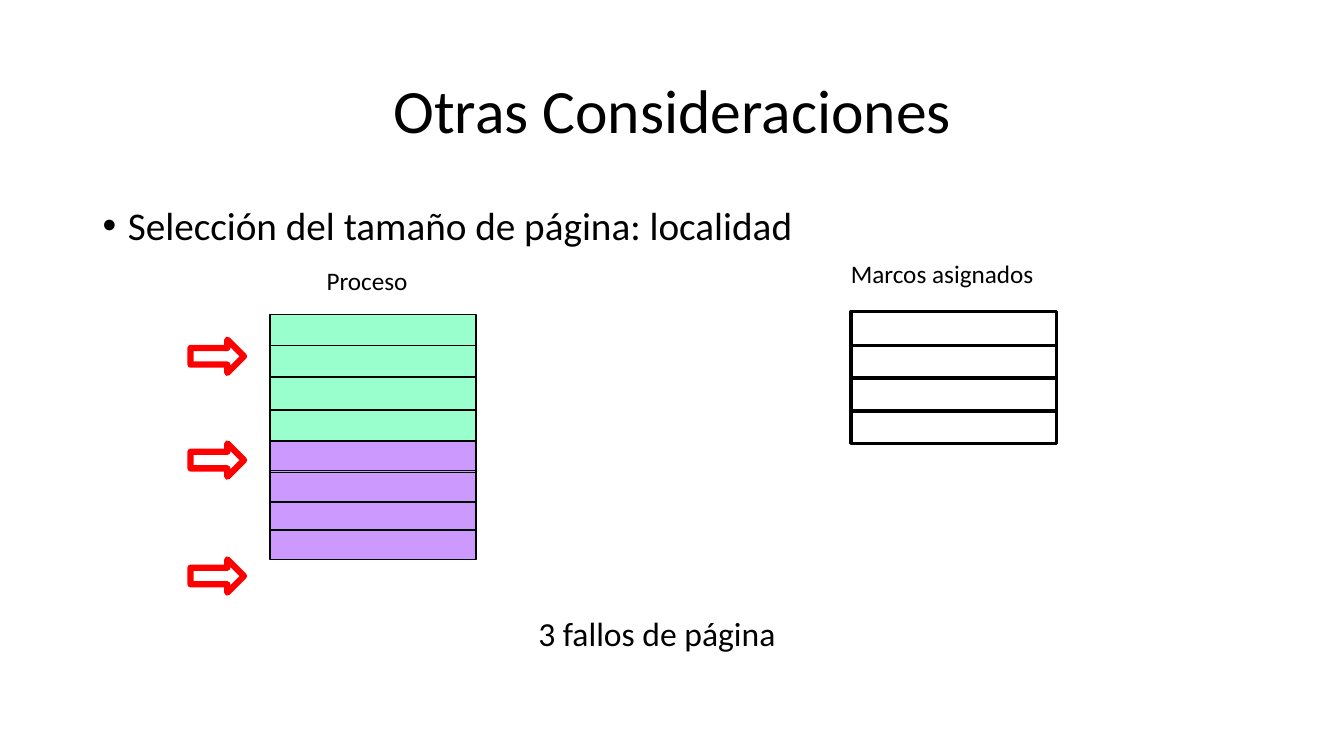
from lxml.etree import SubElement
from pptx import Presentation
from pptx.dml.color import RGBColor
from pptx.enum.shapes import MSO_SHAPE
from pptx.enum.text import MSO_ANCHOR, MSO_AUTO_SIZE, PP_ALIGN
from pptx.oxml.ns import qn
from pptx.util import Inches, Pt

BLACK = RGBColor(0x00, 0x00, 0x00)
WHITE = RGBColor(0xFF, 0xFF, 0xFF)
RED = RGBColor(0xFF, 0x00, 0x00)
GREEN = RGBColor(0x99, 0xFF, 0xCC)
PURPLE = RGBColor(0xCC, 0x99, 0xFF)

TITLE = "Otras Consideraciones"
TOPIC = "Selección del tamaño de página: localidad"
# text, (left, top, width, height), size
LABELS = [
    ("Proceso", (3.14, 2.58, 1.01, 0.4), 18),
    ("Marcos asignados", (8.34, 2.51, 2.03, 0.4), 18),
    ("3 fallos de página", (5.24, 6.03, 2.58, 0.5), 24),
]
PROCESS_LEFT, FRAMES_LEFT, COLUMN_WIDTH = 2.68, 8.44, 2.04
# left, fill, line width, [(top, height), ...]
STACKS = [
    (PROCESS_LEFT, GREEN, 1, [(3.14, 1.23)]),
    (PROCESS_LEFT, PURPLE, 1, [(4.37, 1.17)]),
    (PROCESS_LEFT, GREEN, 1, [(3.12 + 0.31 * row, 0.33) for row in range(3)]),
    (PROCESS_LEFT, PURPLE, 1, [(top, 0.29) for top in (4.38, 4.69, 4.98, 5.26)]),
    (FRAMES_LEFT, None, 2.25,
     [(3.09, 0.34)] + [(3.43 + 0.32 * row, 0.33) for row in range(3)]),
]
ARROW_LEFT, ARROW_WIDTH, ARROW_HEIGHT = 1.89, 0.53, 0.33
ARROW_TOPS = [3.37, 4.4, 5.55]


def add_outlined(slide, kind, box, fill, line_color, line_width):
    shape = slide.shapes.add_shape(kind, *map(Inches, box))
    shape.shadow.inherit = False
    if fill is None:
        shape.fill.background()
    else:
        shape.fill.solid()
        shape.fill.fore_color.rgb = fill
    shape.line.color.rgb = line_color
    shape.line.width = Pt(line_width)


def add_text(slide, text, box, size, frame_format, paragraph_format, bullet=False):
    frame = slide.shapes.add_textbox(*map(Inches, box)).text_frame
    for name, value in frame_format.items():
        setattr(frame, name, value)
    paragraph = frame.paragraphs[0]
    paragraph.text = text
    for name, value in paragraph_format.items():
        setattr(paragraph, name, value)
    if bullet:
        properties = paragraph._p.get_or_add_pPr()
        properties.set("marL", str(Inches(0.25)))
        properties.set("indent", str(Inches(-0.25)))
        SubElement(properties, qn("a:buFont"), typeface="Arial")
        SubElement(properties, qn("a:buChar"), char="•")
    font_format = {"name": "Calibri", "size": Pt(size)}
    for name, value in font_format.items():
        setattr(paragraph.font, name, value)
    paragraph.font.color.rgb = BLACK


def main():
    presentation = Presentation()
    presentation.slide_width = Inches(13.33)
    presentation.slide_height = Inches(7.5)
    slide = presentation.slides.add_slide(presentation.slide_layouts[6])

    add_text(slide, TITLE, (0.92, 0.4, 11.5, 1.45), 44,
             {"word_wrap": True, "vertical_anchor": MSO_ANCHOR.MIDDLE},
             {"alignment": PP_ALIGN.CENTER, "line_spacing": 0.9})
    add_text(slide, TOPIC, (0.92, 2, 11.5, 4.76), 28,
             {"word_wrap": True}, {"line_spacing": 0.9}, bullet=True)
    for text, box, size in LABELS:
        add_text(slide, text, box, size,
                 {"word_wrap": False, "auto_size": MSO_AUTO_SIZE.SHAPE_TO_FIT_TEXT}, {})

    for left, fill, line_width, rows in STACKS:
        for top, height in rows:
            add_outlined(slide, MSO_SHAPE.RECTANGLE, (left, top, COLUMN_WIDTH, height),
                         fill, BLACK, line_width)
    for top in ARROW_TOPS:
        add_outlined(slide, MSO_SHAPE.RIGHT_ARROW,
                     (ARROW_LEFT, top, ARROW_WIDTH, ARROW_HEIGHT), WHITE, RED, 4.5)

    presentation.save("out.pptx")


if __name__ == "__main__":
    main()
